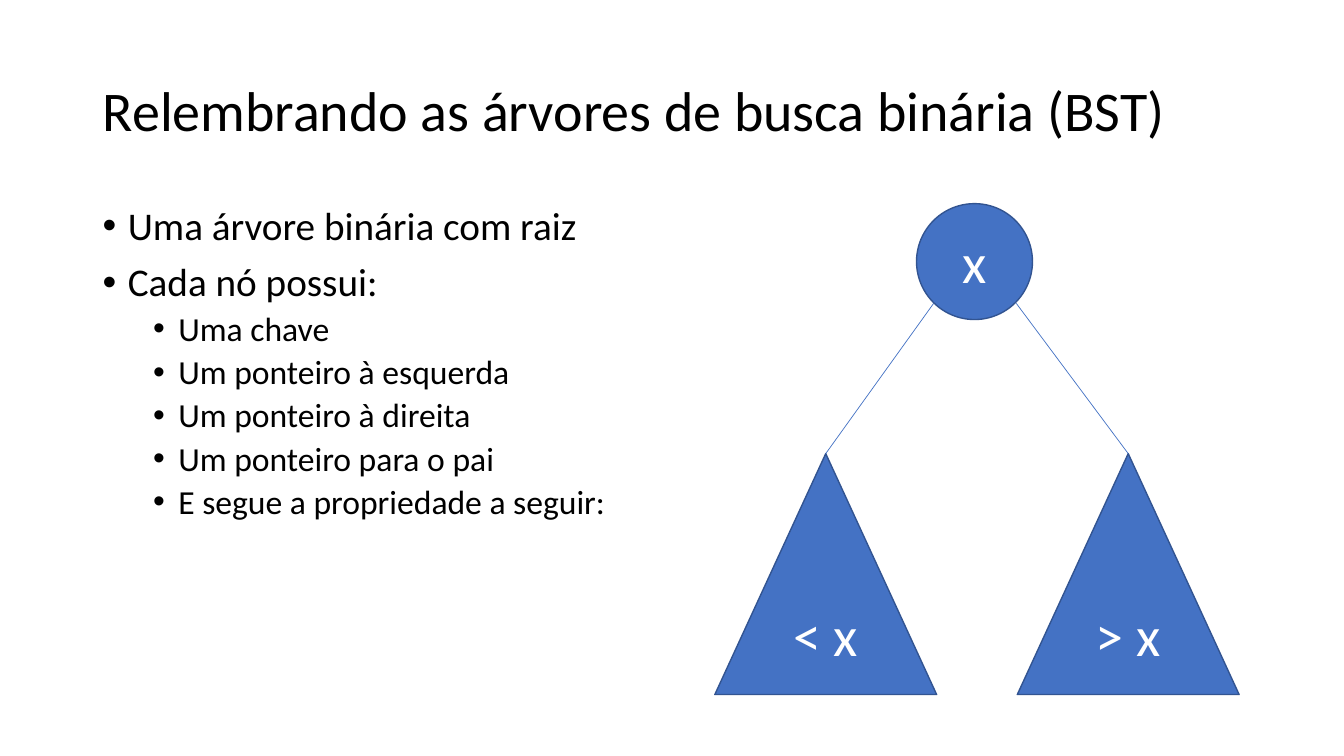
import pptx
import pptx.dml.color
import pptx.enum.shapes
import pptx.enum.text
import pptx.oxml.ns
import pptx.util
from lxml import etree
from pptx.util import Inches

FONT = "Calibri"
BLACK, WHITE = "000000", "FFFFFF"
BLUE, OUTLINE = "4472C4", "325491"
SHAPES = pptx.enum.shapes.MSO_SHAPE
ALIGN = pptx.enum.text.PP_ALIGN
MIDDLE = pptx.enum.text.MSO_ANCHOR.MIDDLE

BULLETS = [
    (0, "Uma árvore binária com raiz"),
    (0, "Cada nó possui:"),
    (1, "Uma chave"),
    (1, "Um ponteiro à esquerda"),
    (1, "Um ponteiro à direita"),
    (1, "Um ponteiro para o pai"),
    (1, "E segue a propriedade a seguir:"),
]
LEVEL_STYLES = [(0.25, 28, 10), (0.75, 24, 5)]


def color(value):
    """Turn a hex string into a colour."""
    return pptx.dml.color.RGBColor.from_string(value)


def place(shape, left, top, width, height):
    """Set the position and size of a shape in inches."""
    shape.left, shape.top = Inches(left), Inches(top)
    shape.width, shape.height = Inches(width), Inches(height)


def add_text(para, text, size, hex_color):
    """Add a formatted run to a paragraph."""
    span = para.add_run()
    span.text = text
    span.font.name = FONT
    span.font.size = pptx.util.Pt(size)
    span.font.color.rgb = color(hex_color)


def set_title(slide, text):
    """Move the title placeholder and fill it in."""
    title = slide.shapes.title
    place(title, 0.92, 0.4, 11.5, 1.45)
    title.text_frame.vertical_anchor = MIDDLE
    title.text_frame.word_wrap = True
    para = title.text_frame.paragraphs[0]
    para.alignment = ALIGN.LEFT
    para.line_spacing = 0.9
    add_text(para, text, 40, BLACK)


def set_bullet(para, indent):
    """Give a paragraph a round bullet with a hanging indent."""
    properties = para._p.get_or_add_pPr()
    properties.set("marL", str(Inches(indent)))
    properties.set("indent", str(Inches(-0.25)))
    font = etree.SubElement(properties, pptx.oxml.ns.qn("a:buFont"))
    font.set("typeface", "Arial")
    bullet = etree.SubElement(properties, pptx.oxml.ns.qn("a:buChar"))
    bullet.set("char", "•")


def add_bullets(slide, items, left, top, width, height):
    """Add a text box with a two-level bulleted list."""
    box = slide.shapes.add_textbox(Inches(left), Inches(top), Inches(width), Inches(height))
    frame = box.text_frame
    frame.word_wrap = True
    for index, (level, text) in enumerate(items):
        indent, size, space = LEVEL_STYLES[level]
        para = frame.add_paragraph() if index else frame.paragraphs[0]
        para.level = level
        set_bullet(para, indent)
        para.line_spacing = 0.9
        if index:
            para.space_before = pptx.util.Pt(space)
        add_text(para, text, size, BLACK)


def add_node(slide, kind, text, left, top, width, height):
    """Add a filled tree node with a centred label."""
    node = slide.shapes.add_shape(kind, Inches(left), Inches(top), Inches(width), Inches(height))
    node.shadow.inherit = False
    node.fill.solid()
    node.fill.fore_color.rgb = color(BLUE)
    node.line.color.rgb = color(OUTLINE)
    node.line.width = pptx.util.Pt(1)
    node.text_frame.word_wrap = True
    node.text_frame.vertical_anchor = MIDDLE
    para = node.text_frame.paragraphs[0]
    para.alignment = ALIGN.CENTER
    add_text(para, text, 40, WHITE)


def add_edge(slide, start, end):
    """Add a thin straight line between two points."""
    straight = pptx.enum.shapes.MSO_CONNECTOR.STRAIGHT
    points = [Inches(value) for value in (*start, *end)]
    edge = slide.shapes.add_connector(straight, *points)
    edge.line.color.rgb = color(BLUE)
    edge.line.width = pptx.util.Pt(0.5)
    etree.SubElement(edge._element.spPr, pptx.oxml.ns.qn("a:effectLst"))


def add_tree(slide):
    """Draw the root and its two subtrees."""
    subtree_top, subtree_width = 4.5, 2.2
    for text, left, root_x in (("< x", 7.09, 9.26), ("> x", 10.09, 10.08)):
        add_node(slide, SHAPES.ISOSCELES_TRIANGLE, text, left, subtree_top, subtree_width, 2.39)
        add_edge(slide, (root_x, 3.01), (left + subtree_width / 2, subtree_top))
    add_node(slide, SHAPES.OVAL, "x", 9.09, 2.02, 1.15, 1.15)


def main():
    """Build and save the deck."""
    deck = pptx.Presentation()
    deck.slide_width, deck.slide_height = Inches(13.33), Inches(7.5)
    slide = deck.slides.add_slide(deck.slide_layouts[5])
    set_title(slide, "Relembrando as árvores de busca binária (BST)")
    add_bullets(slide, BULLETS, 0.92, 2, 5.67, 4.76)
    add_tree(slide)
    deck.save("out.pptx")


if __name__ == "__main__":
    main()
